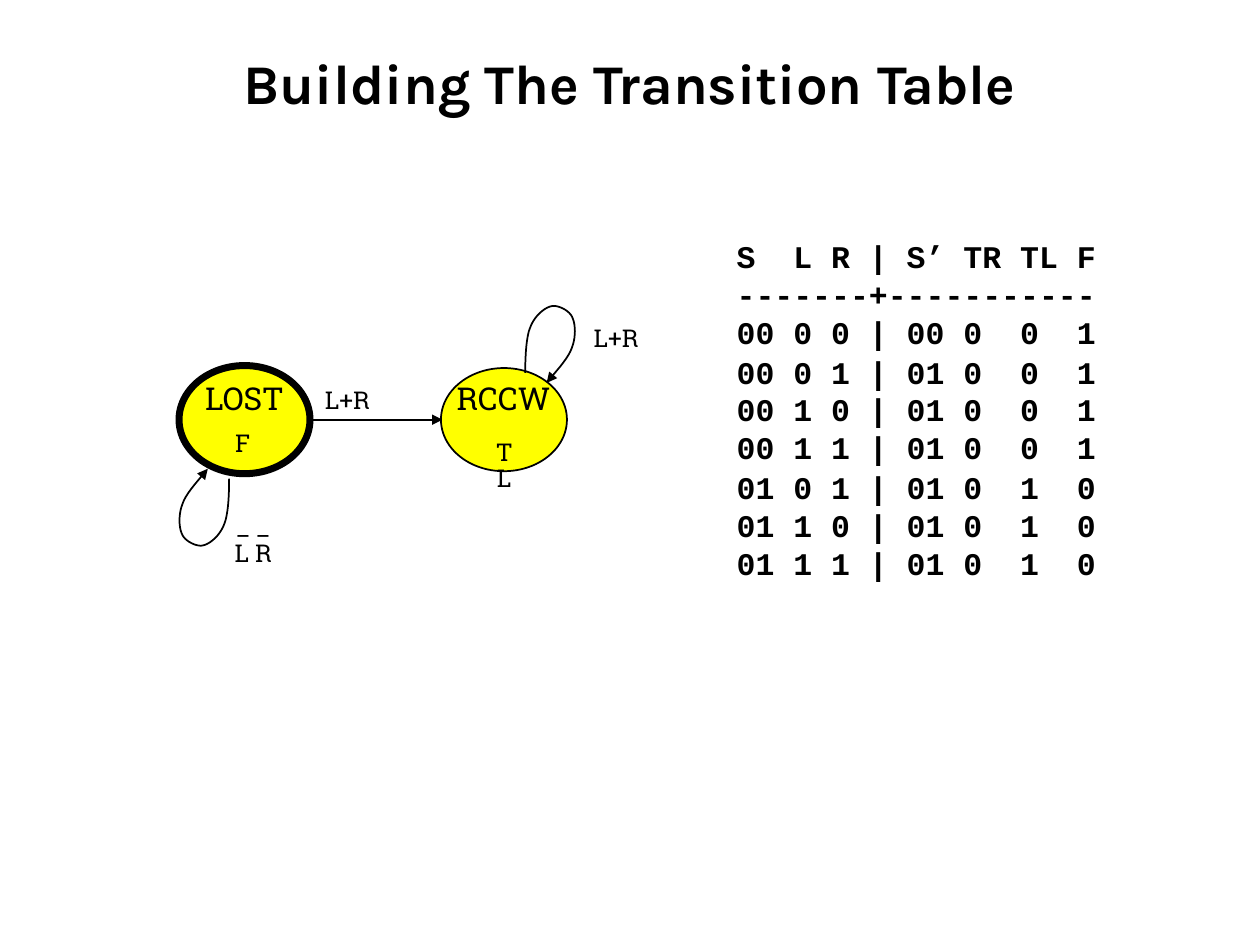
from lxml import etree
from pptx import Presentation, util as u
from pptx.dml.color import RGBColor
from pptx.enum import shapes, text
from pptx.oxml import ns

COLORS = {"ink": "000000", "state": "FFFF00"}
INK = RGBColor.from_string(COLORS["ink"])
CURVE_STEPS = 10


def add_text(page, lines, place, *, font, size, bold=False, align=text.PP_ALIGN.CENTER,
             insets=(0.18, 0.08), spacing=None, wrap=False, grow=True,
             anchor=text.MSO_ANCHOR.TOP):
    box = page.shapes.add_textbox(*[u.Cm(value) for value in place])
    frame = box.text_frame
    frame.word_wrap = wrap
    frame.auto_size = text.MSO_AUTO_SIZE.SHAPE_TO_FIT_TEXT if grow else text.MSO_AUTO_SIZE.NONE
    frame.vertical_anchor = anchor
    frame.margin_left = frame.margin_right = u.Cm(insets[0])
    frame.margin_top = frame.margin_bottom = u.Cm(insets[1])
    for index, line in enumerate(lines):
        para = frame.add_paragraph() if index else frame.paragraphs[0]
        para.text = line
        para.alignment = align
        para.line_spacing = spacing
        for span in para.runs:
            span.font.name = font
            span.font.size = u.Pt(size)
            span.font.bold = bold
            span.font.color.rgb = INK


def style_arrow(arrow):
    arrow.line.color.rgb = INK
    arrow.line.width = u.Pt(1)
    outline = arrow.line._get_or_add_ln()
    etree.SubElement(outline, ns.qn("a:tailEnd"), type="triangle")
    properties = outline.getparent()
    if properties.find(ns.qn("a:effectLst")) is None:
        etree.SubElement(properties, ns.qn("a:effectLst"))


deck = Presentation()
deck.slide_width, deck.slide_height = u.Cm(25.4), u.Cm(19.05)
page = deck.slides.add_slide(deck.slide_layouts[6])

add_text(page, ["Building The Transition Table"], (1.27, 0.76, 22.86, 1.78),
         font="Karla", size=32, bold=True, insets=(0.25, 0.13), wrap=True, grow=False,
         anchor=text.MSO_ANCHOR.MIDDLE)

table_blocks = [
    ["S  L R | S’ TR TL F\v-------+-----------", "00 0 0 | 00 0  0  1"],
    ["00 0 1 | 01 0  0  1\v00 1 0 | 01 0  0  1", "00 1 1 | 01 0  0  1"],
    ["01 0 1 | 01 0  1  0", "01 1 0 | 01 0  1  0", "01 1 1 | 01 0  1  0"],
]
for index, block in enumerate(table_blocks):
    add_text(page, block, (14.6, 4.65 + 2.33 * index, 7.82, 2.57), font="Courier New",
             size=18, bold=True, align=text.PP_ALIGN.LEFT, insets=(0.25, 0.13))

transition = page.shapes.add_connector(
    shapes.MSO_CONNECTOR.STRAIGHT, u.Cm(6.25), u.Cm(8.46), u.Cm(8.92), u.Cm(8.46))
style_arrow(transition)

states = [
    ("RCCW", (8.89, 7.42, 2.54, 2.08), 1, (8.92, 7.67, 2.46, 0.84)),
    ("LOST", (3.61, 7.37, 2.64, 2.18), 4, (3.84, 7.67, 2.18, 0.84)),
]
for name, place, weight, name_place in states:
    state = page.shapes.add_shape(shapes.MSO_SHAPE.OVAL, *[u.Cm(value) for value in place])
    state.shadow.inherit = False
    state.fill.solid()
    state.fill.fore_color.rgb = RGBColor.from_string(COLORS["state"])
    state.line.color.rgb = INK
    state.line.width = u.Pt(weight)
    add_text(page, [name], name_place, font="Roboto Slab", size=18, spacing=0.88)

labels = [
    (["TL"], (9.68, 8.79, 0.97, 0.69), True),
    (["F"], (4.55, 8.61, 0.69, 0.69), False),
    (["L+R"], (6.32, 7.75, 1.37, 0.69), False),
    (["L+R"], (11.76, 6.5, 1.32, 0.69), False),
    (["_ _", "L R"], (4.52, 10.29, 1.17, 1.22), False),
]
for lines, place, wrap in labels:
    add_text(page, lines, place, font="Roboto Slab", size=14, spacing=0.9, wrap=wrap)

loop_controls = [
    (10.59, 7.52), (10.59, 7.37), (10.59, 6.83), (10.69, 6.6),
    (10.77, 6.38), (10.97, 6.2), (11.13, 6.17),
    (11.25, 6.15), (11.46, 6.25), (11.53, 6.38),
    (11.61, 6.53), (11.61, 6.81), (11.53, 7.01),
    (11.46, 7.24), (11.13, 7.57), (11.02, 7.72),
]
loop_points = [loop_controls[0]]
for first in range(0, len(loop_controls) - 1, 3):
    controls = loop_controls[first:first + 4]
    for step in range(1, CURVE_STEPS + 1):
        t = step / CURVE_STEPS
        weights = ((1 - t) ** 3, 3 * t * (1 - t) ** 2, 3 * t ** 2 * (1 - t), t ** 3)
        loop_points.append(tuple(
            sum(weight * control[axis] for weight, control in zip(weights, controls))
            for axis in (0, 1)))

turned_points = [(15.21 - x, 17.17 - y) for x, y in loop_points]
for points in (loop_points, turned_points):
    corners = [(u.Cm(x), u.Cm(y)) for x, y in points]
    builder = page.shapes.build_freeform(*corners[0])
    builder.add_line_segments(corners[1:], close=False)
    loop = builder.convert_to_shape()
    loop.shadow.inherit = False
    loop.fill.background()
    style_arrow(loop)

deck.save("out.pptx")
